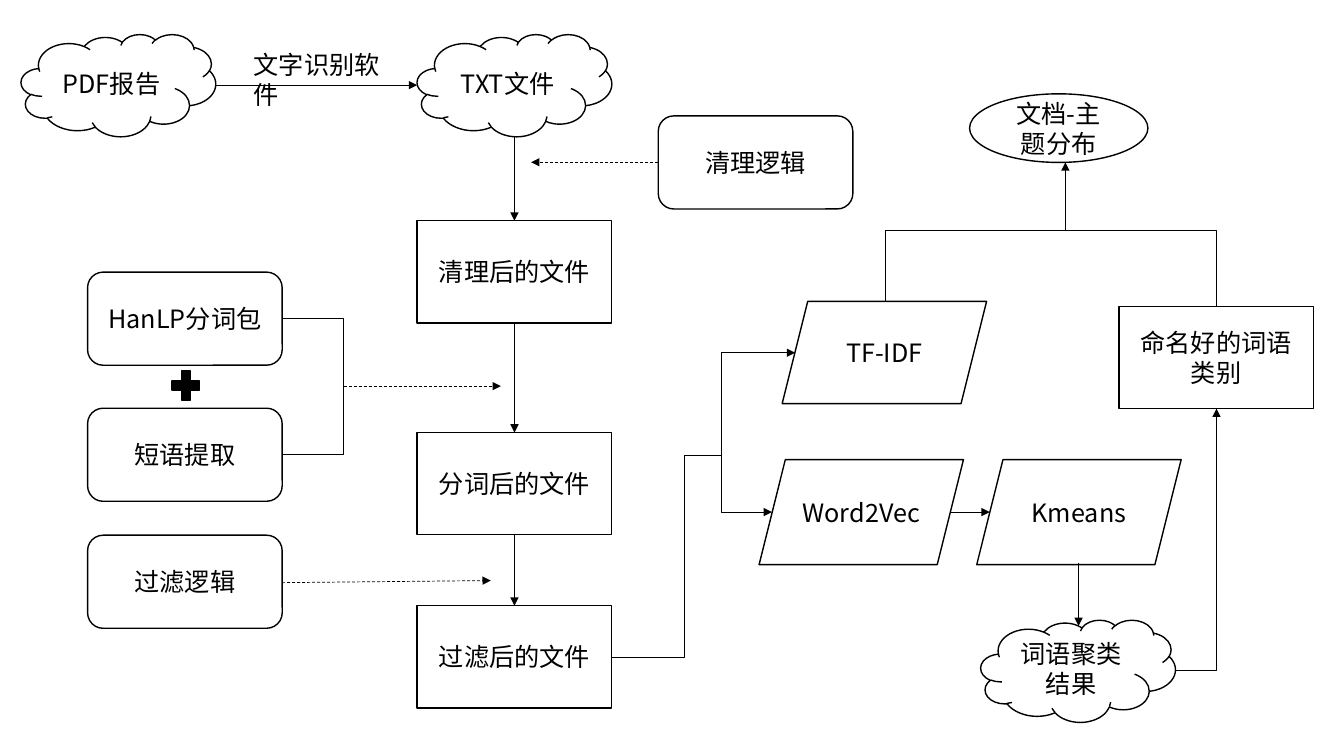
from lxml.etree import SubElement
from pptx import Presentation
from pptx.dml.color import RGBColor
from pptx.enum.dml import MSO_LINE
from pptx.enum.shapes import MSO_CONNECTOR, MSO_SHAPE
from pptx.enum.text import MSO_ANCHOR, PP_ALIGN
from pptx.oxml.ns import qn
from pptx.util import Pt


def color(value):
    return RGBColor.from_string(value)


def write(frame, text, size=18, font="Noto Sans CJK SC", ink="000000", align=PP_ALIGN.CENTER):
    para = frame.paragraphs[0]
    para.alignment = align
    span = para.add_run()
    span.text = text
    span.font.size = Pt(size)
    span.font.name = font
    span.font.color.rgb = color(ink)
    SubElement(span.font._element, qn("a:ea")).set("typeface", font)


class Flowchart:
    """Draws the boxes, labels and arrows of a flowchart on one page."""

    ink = "000000"
    paper = "FFFFFF"

    def __init__(self, page):
        self.shapes = page.shapes

    def box(self, kind, left, top, width, height, text="", fill=paper):
        box = self.shapes.add_shape(kind, Pt(left), Pt(top), Pt(width), Pt(height))
        box.shadow.inherit = False
        box.fill.solid()
        box.fill.fore_color.rgb = color(fill)
        box.line.color.rgb = color(self.ink)
        box.line.width = Pt(1)
        if text:
            box.text_frame.word_wrap = True
            box.text_frame.vertical_anchor = MSO_ANCHOR.MIDDLE
            write(box.text_frame, text, ink=self.ink)

    def label(self, left, top, width, height, text):
        box = self.shapes.add_textbox(Pt(left), Pt(top), Pt(width), Pt(height))
        box.text_frame.word_wrap = True
        write(box.text_frame, text, ink=self.ink, align=PP_ALIGN.LEFT)

    def line(self, start, end, arrow="tailEnd", dashed=False, kind=MSO_CONNECTOR.STRAIGHT):
        line = self.shapes.add_connector(kind, *map(Pt, start + end))
        line.line.color.rgb = color(self.ink)
        line.line.width = Pt(0.5)
        if dashed:
            line.line.dash_style = MSO_LINE.DASH
        if arrow:
            SubElement(line.line._get_or_add_ln(), qn("a:" + arrow)).set("type", "triangle")
        SubElement(line._element.spPr, qn("a:effectLst"))
        return line

    def elbow(self, start, end, arrow=None):
        line = self.line(start, end, arrow, kind=MSO_CONNECTOR.ELBOW)
        line._element.spPr.find(qn("a:prstGeom")).set("prst", "bentConnector2")


def main():
    deck = Presentation()
    deck.slide_width, deck.slide_height = Pt(960), Pt(540)
    chart = Flowchart(deck.slides.add_slide(deck.slide_layouts[6]))

    width, file_height, rule_height = 139, 73, 66.5
    file_left, rule_left = 298, 62.6
    file_middle = file_left + width / 2

    for left, top, text in [
        (15.1, 24.5, "PDF报告"), (file_left, 24.5, "TXT文件"), (700.6, 442.8, "词语聚类结果"),
    ]:
        chart.box(MSO_SHAPE.CLOUD, left, top, width, file_height, text)

    for left, top, text in [
        (file_left, 157.7, "清理后的文件"), (file_left, 309, "分词后的文件"),
        (file_left, 432.7, "过滤后的文件"), (799.2, 218.9, "命名好的词语类别"),
    ]:
        chart.box(MSO_SHAPE.RECTANGLE, left, top, width, file_height, text)

    for left, top, text in [
        (470.2, 82.8, "清理逻辑"), (rule_left, 194.4, "HanLP分词包"),
        (rule_left, 291.6, "短语提取"), (rule_left, 382.3, "过滤逻辑"),
    ]:
        chart.box(MSO_SHAPE.ROUNDED_RECTANGLE, left, top, width, rule_height, text)

    for left, top, height, text in [
        (558.7, 215.3, 73, "TF-IDF"), (542.2, 328.3, 75, "Word2Vec"), (697.7, 328.3, 75, "Kmeans"),
    ]:
        chart.box(MSO_SHAPE.PARALLELOGRAM, left, top, 146, height, text)

    chart.box(MSO_SHAPE.OVAL, 692.6, 67, 127.4, 49, "文档-主题分布")
    chart.box(MSO_SHAPE.MATH_PLUS, 119.5, 261.4, 26.6, 28, fill=chart.ink)
    chart.label(174.2, 31.7, 108, 29, "文字识别软件")

    for top, bottom in [(97.2, 157.7), (230.7, 309), (382, 432.7)]:
        chart.line((file_middle, top), (file_middle, bottom))

    for start, end in [
        ((154, 60.8), (298, 60.8)), ((679, 365.8), (707, 365.8)),
        ((770.4, 402.5), (770.4, 447.1)), ((761, 164.9), (761, 116)),
    ]:
        chart.line(start, end)

    for start, end in [
        ((470.2, 115.9), (379.4, 115.9)), ((245.5, 275.8), (357.8, 275.8)),
        ((201.6, 416.2), (350.6, 414.7)),
    ]:
        chart.line(start, end, dashed=True)

    chart.line((488.9, 325.2), (515.5, 325.2), arrow=None)

    for start, end, arrow in [
        ((201.6, 227.5), (245.5, 289.4), None),
        ((201.6, 324.7), (245.5, 275.8), None),
        ((437, 469.4), (488.9, 325.2), None),
        ((568, 252), (515.5, 325.2), "headEnd"),
        ((551.5, 365.8), (515.5, 325.2), "headEnd"),
        ((840.2, 478.8), (869, 291.9), "tailEnd"),
        ((741.6, 164.9), (632.2, 215.3), None),
        ((741.6, 164.9), (869, 218.9), None),
    ]:
        chart.elbow(start, end, arrow)

    deck.save("out.pptx")


if __name__ == "__main__":
    main()
